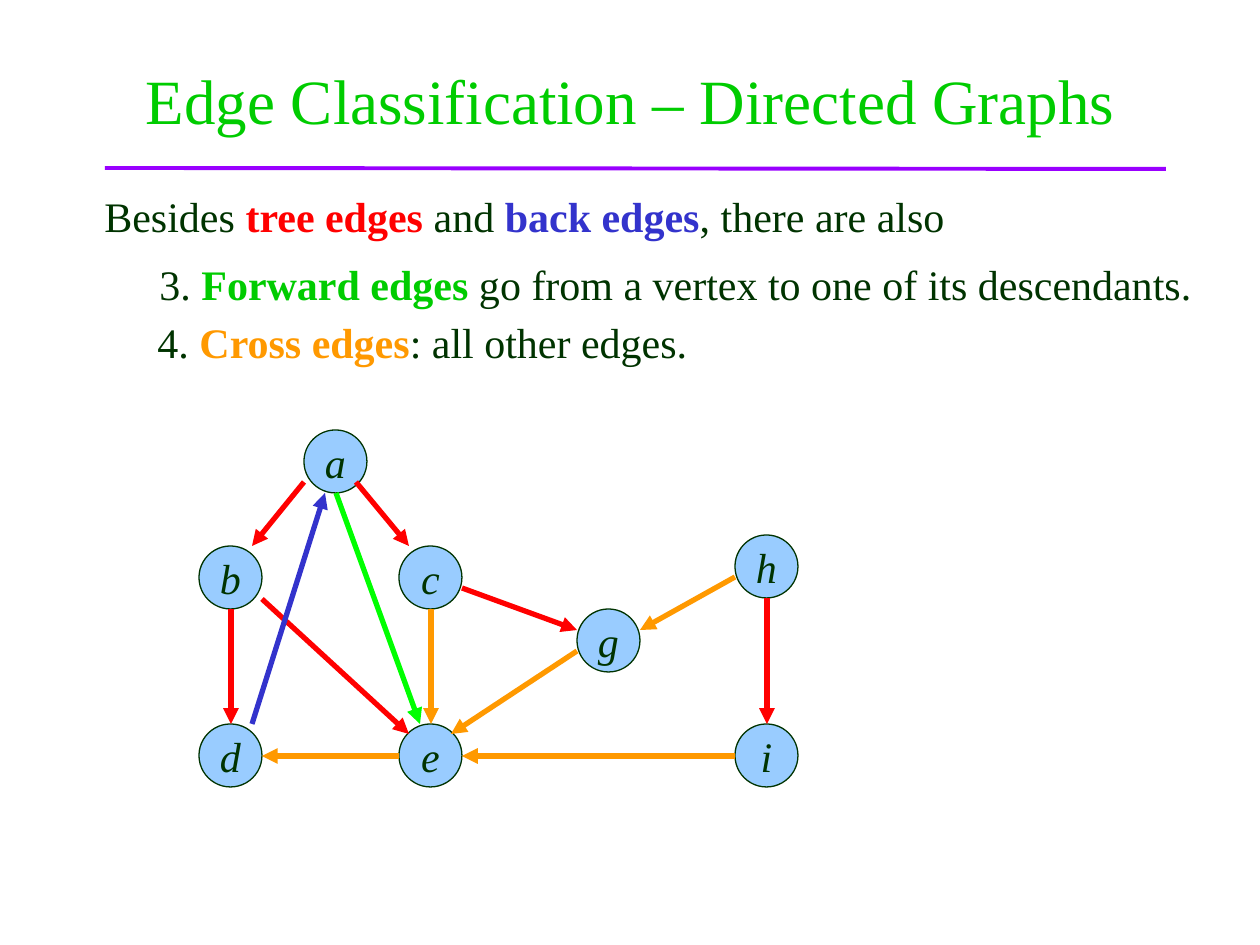
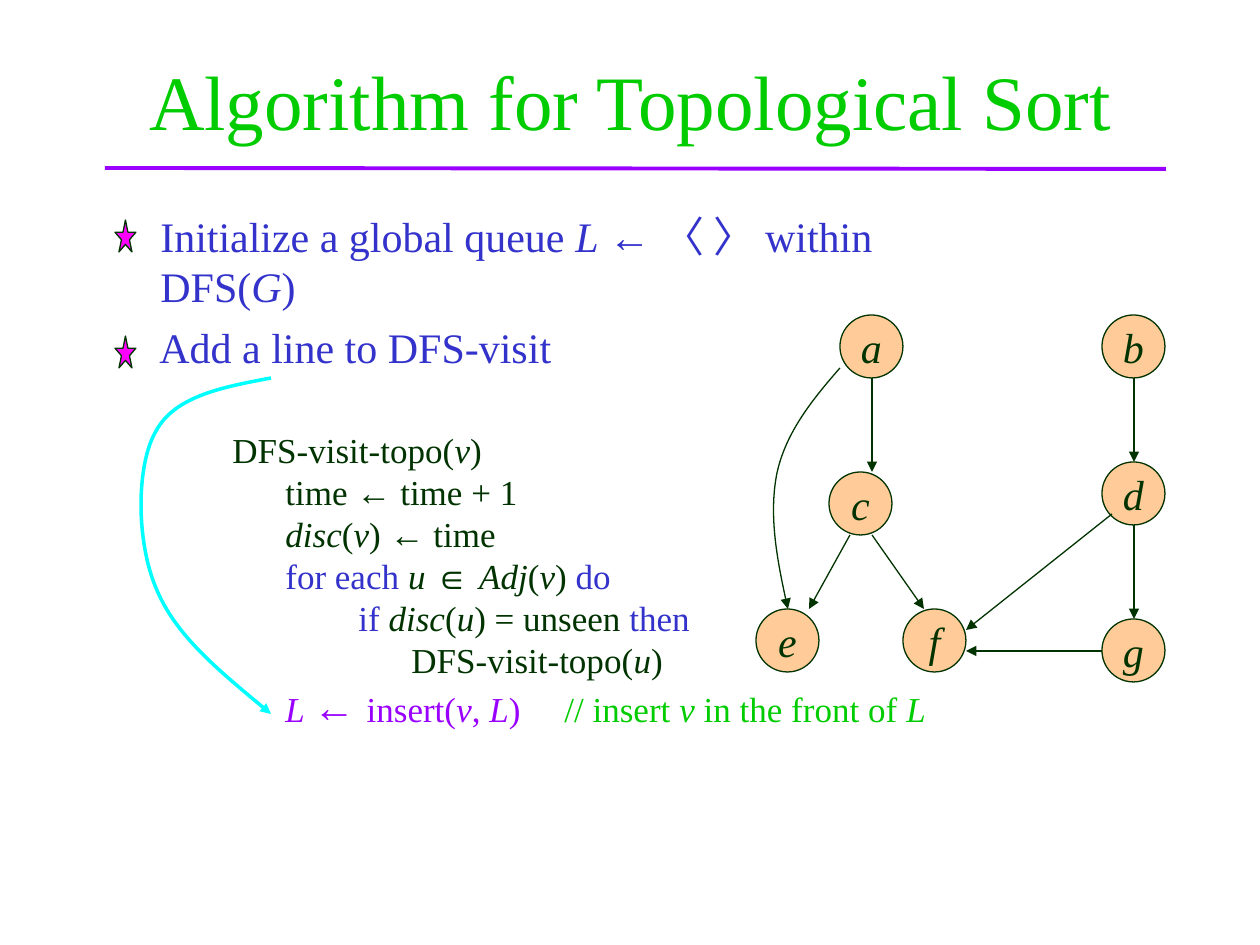
from lxml.etree import SubElement
from pptx import Presentation
from pptx.dml.color import RGBColor
from pptx.enum.shapes import MSO_CONNECTOR, MSO_SHAPE
from pptx.enum.text import MSO_ANCHOR, MSO_AUTO_SIZE, PP_ALIGN
from pptx.oxml.ns import qn
from pptx.util import Emu, Pt

SCALE = 914400 / 126
SERIF, SYMBOL = "Times New Roman", "Arial"
INK = RGBColor(0x00, 0x33, 0x00)
GREEN = RGBColor(0x00, 0xCC, 0x00)
LIME = RGBColor(0x00, 0xFF, 0x00)
PURPLE = RGBColor(0x99, 0x00, 0xFF)
RED = RGBColor(0xFF, 0x00, 0x00)
BLUE = RGBColor(0x33, 0x33, 0xCC)
ORANGE = RGBColor(0xFF, 0x99, 0x00)
MAGENTA = RGBColor(0xFF, 0x00, 0xFF)
CYAN = RGBColor(0x00, 0xFF, 0xFF)
SKY = RGBColor(0x99, 0xCC, 0xFF)
PEACH = RGBColor(0xFF, 0xCC, 0x99)

NODE = 63
TOP, BOTTOM, LEFT, RIGHT = (32, 0), (32, 63), (0, 32), (63, 32)

EDGE_KINDS = [
    ((92, 184, 884, 63), [("Besides ", INK), ("tree edges", RED, "bold"), (" and ", INK),
                          ("back edges", BLUE, "bold"), (", there are also", INK)]),
    ((147, 252, 1066, 63), [("3. ", INK), ("Forward edges", GREEN, "bold"),
                            (" go from a vertex to one of its descendants.", INK)]),
    ((145, 310, 574, 63), [("4. ", INK), ("Cross edges", ORANGE, "bold"),
                           (": all other edges.", INK)]),
]
DFS_NODES = {"a": (304, 430), "b": (199, 546), "c": (399, 546), "d": (199, 724),
             "e": (399, 724), "g": (577, 609), "i": (735, 724), "h": (735, 535)}
DFS_EDGES = [
    ("a", (0, 52), "b", (53, 0), RED),
    ("b", BOTTOM, "d", TOP, RED),
    ("b", (63, 53), "e", (10, 10), RED),
    ("a", (52, 52), "c", (10, 0), RED),
    ("d", (53, 0), "a", (21, 63), BLUE),
    ("a", BOTTOM, "e", (21, 0), LIME),
    ("e", LEFT, "d", RIGHT, ORANGE),
    ("c", BOTTOM, "e", TOP, ORANGE),
    ("c", (63, 42), "g", (0, 21), RED),
    ("g", (0, 42), "e", (52, 10), ORANGE),
    ("h", (0, 42), "g", (63, 21), ORANGE),
    ("h", BOTTOM, "i", TOP, RED),
    ("i", LEFT, "e", RIGHT, ORANGE),
]

STEPS = [
    ((115, 220), (148, 204, 820, 63),
     [("Initialize a global queue ", BLUE), ("L ", BLUE, "italic"), ("← 〈 〉", BLUE, "symbol"),
      (" within DFS(", BLUE), ("G", BLUE, "italic"), (")", BLUE)]),
    ((115, 336), (147, 315, 424, 63), [("Add a line to DFS-visit", BLUE)]),
]
CODE_BOX = (220, 422, 740, 315)
CODE_STOPS = (53, 126, 179, 332)
CODE = [
    [("DFS-visit-topo(", INK), ("v", INK, "italic"), (")", INK)],
    [("\ttime ", INK), ("←", INK, "symbol"), (" time + 1", INK)],
    [("\t", INK), ("disc", INK, "italic"), ("(", INK), ("v", INK, "italic"), (") ", INK),
     ("←", INK, "symbol"), (" time", INK)],
    [("\tfor each ", BLUE), ("u ", INK, "italic"), ("∈ ", INK, "symbol"),
     ("Adj", INK, "italic"), ("(", INK), ("v", INK, "italic"), (") ", INK), ("do", BLUE)],
    [("\t\tif ", BLUE), ("disc", INK, "italic"), ("(", INK), ("u", INK, "italic"),
     (") = unseen", INK), (" then", BLUE)],
    [("\t\t\tDFS-visit-topo(", INK), ("u", INK, "italic"), (")", INK)],
    [("\t", INK), ("L ", PURPLE, "italic"), ("← ", PURPLE, "symbol", 24), ("insert(", PURPLE),
     ("v", PURPLE, "italic"), (", ", PURPLE), ("L", PURPLE, "italic"), (")\t", PURPLE),
     ("// insert ", GREEN), ("v", GREEN, "italic"), (" in the front of ", GREEN),
     ("L", GREEN, "italic")],
]
INSERT_CURVE = [(271, 378), (223, 387), (175, 396), (156, 431), (136, 465),
                (136, 541), (156, 588), (175, 635), (223, 674), (271, 714)]
TOPO_NODES = {"a": (840, 315), "c": (829, 472), "e": (756, 609), "f": (903, 609),
              "b": (1102, 315), "d": (1102, 462), "g": (1102, 619)}
TOPO_EDGES = [
    ("b", BOTTOM, "d", TOP, INK),
    ("d", BOTTOM, "g", TOP, INK),
    ("d", (10, 52), "f", (63, 21), INK),
    ("g", LEFT, "f", (63, 42), INK),
    ("a", BOTTOM, "c", (43, 0), INK),
    ("c", (21, 63), "e", (53, 0), INK),
    ("c", (43, 63), "f", (21, 0), INK),
]
A_TO_E_CURVE = [(840, 368), (813, 399), (786, 432), (777, 473),
                (769, 513), (777, 561), (788, 609)]


def px(*lengths):
    return [Emu(round(length * SCALE)) for length in lengths]


def add_runs(paragraph, runs, size):
    for text, color, style, run_size in (
            (*run, *("", size)[len(run) - 2:]) for run in runs):
        run = paragraph.add_run()
        run.text = text
        run.font.name = SYMBOL if style == "symbol" else SERIF
        run.font.size = Pt(run_size)
        run.font.color.rgb = color
        run.font.bold = style == "bold"
        run.font.italic = style == "italic"


def add_text(slide, box, lines, size=24, stops=()):
    frame = slide.shapes.add_textbox(*px(*box)).text_frame
    frame.word_wrap = True
    frame.auto_size = MSO_AUTO_SIZE.SHAPE_TO_FIT_TEXT
    for number, runs in enumerate(lines):
        paragraph = frame.add_paragraph() if number else frame.paragraphs[0]
        if stops:
            tabs = SubElement(paragraph._p.get_or_add_pPr(), qn("a:tabLst"))
            for stop in px(*stops):
                SubElement(tabs, qn("a:tab"), pos=str(stop), algn="l")
        add_runs(paragraph, runs, size)


def set_line(shape, color, width, arrow=False):
    shape.line.color.rgb = color
    shape.line.width = Pt(width)
    if arrow:
        SubElement(shape.element.spPr.find(qn("a:ln")), qn("a:tailEnd"), type="triangle")


def add_line(slide, start, end, color, width, arrow=False):
    connector = slide.shapes.add_connector(MSO_CONNECTOR.STRAIGHT, *px(*start, *end))
    set_line(connector, color, width, arrow)
    SubElement(connector.element.spPr, qn("a:effectLst"))


def add_curve(slide, points, color, width):
    builder = slide.shapes.build_freeform(*points[0], scale=SCALE)
    builder.add_line_segments(points[1:], close=False)
    curve = builder.convert_to_shape()
    curve.shadow.inherit = False
    curve.fill.background()
    set_line(curve, color, width, arrow=True)
    segments = curve.element.xpath(".//a:lnTo")
    outline = segments[0].getparent()
    for first in range(0, len(segments), 3):
        bezier = SubElement(outline, qn("a:cubicBezTo"))
        for segment in segments[first:first + 3]:
            bezier.append(segment[0])
            outline.remove(segment)


def add_preset(slide, preset, box, fill):
    shape = slide.shapes.add_shape(preset, *px(*box))
    shape.shadow.inherit = False
    shape.fill.solid()
    shape.fill.fore_color.rgb = fill
    set_line(shape, INK, 0.75)
    return shape


def add_graph(slide, nodes, edges, fill, width):
    for letter, corner in nodes.items():
        frame = add_preset(slide, MSO_SHAPE.OVAL, (*corner, NODE, NODE), fill).text_frame
        frame.word_wrap = False
        frame.vertical_anchor = MSO_ANCHOR.MIDDLE
        frame.paragraphs[0].alignment = PP_ALIGN.CENTER
        add_runs(frame.paragraphs[0], [(letter, INK, "italic")], 24)
    for source, leave, target, arrive, color in edges:
        start, end = ([a + b for a, b in zip(nodes[name], offset)]
                      for name, offset in ((source, leave), (target, arrive)))
        add_line(slide, start, end, color, width, arrow=True)


def add_titled_slide(deck, heading, size):
    slide = deck.slides.add_slide(deck.slide_layouts[5])
    title = slide.shapes.title
    title.left, title.top, title.width, title.height = px(95, 21, 1071, 157)
    frame = title.text_frame
    frame.auto_size = MSO_AUTO_SIZE.NONE
    frame.word_wrap = True
    frame.vertical_anchor = MSO_ANCHOR.MIDDLE
    frame.paragraphs[0].alignment = PP_ALIGN.CENTER
    add_runs(frame.paragraphs[0], [(heading, GREEN)], size)
    add_line(slide, (105, 168), (1166, 169), PURPLE, 2.25)
    return slide


def main():
    deck = Presentation()
    deck.slide_width, deck.slide_height = px(1260, 945)

    edges = add_titled_slide(deck, "Edge Classification – Directed Graphs", 36)
    for box, runs in EDGE_KINDS:
        add_text(edges, box, [runs])
    add_graph(edges, DFS_NODES, DFS_EDGES, SKY, 3)

    topo = add_titled_slide(deck, "Algorithm for Topological Sort", 44)
    for star, box, runs in STEPS:
        add_preset(topo, MSO_SHAPE.STAR_5_POINT, (*star, 21, 32), MAGENTA)
        add_text(topo, box, [runs])
    add_text(topo, CODE_BOX, CODE, 20, CODE_STOPS)
    add_curve(topo, INSERT_CURVE, CYAN, 2)
    add_graph(topo, TOPO_NODES, TOPO_EDGES, PEACH, 0.75)
    add_curve(topo, A_TO_E_CURVE, INK, 0.75)

    deck.save("out.pptx")


if __name__ == "__main__":
    main()
